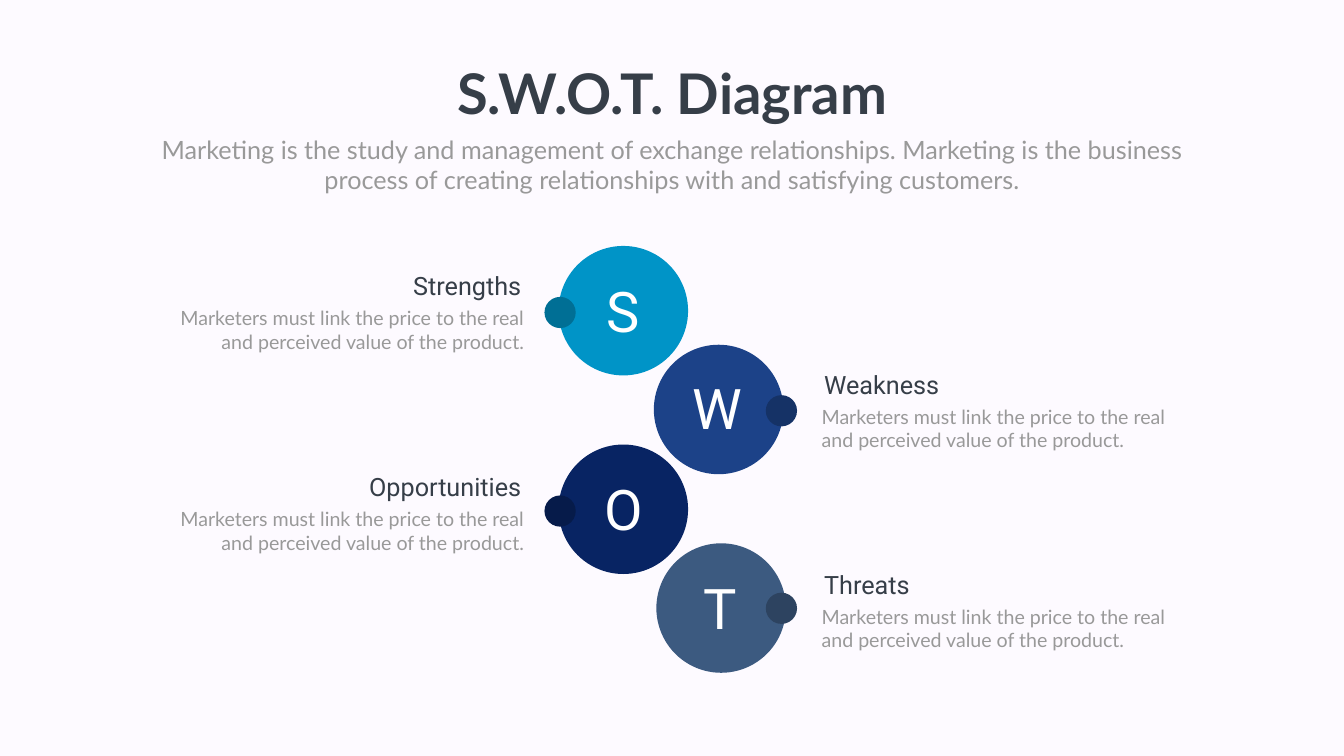
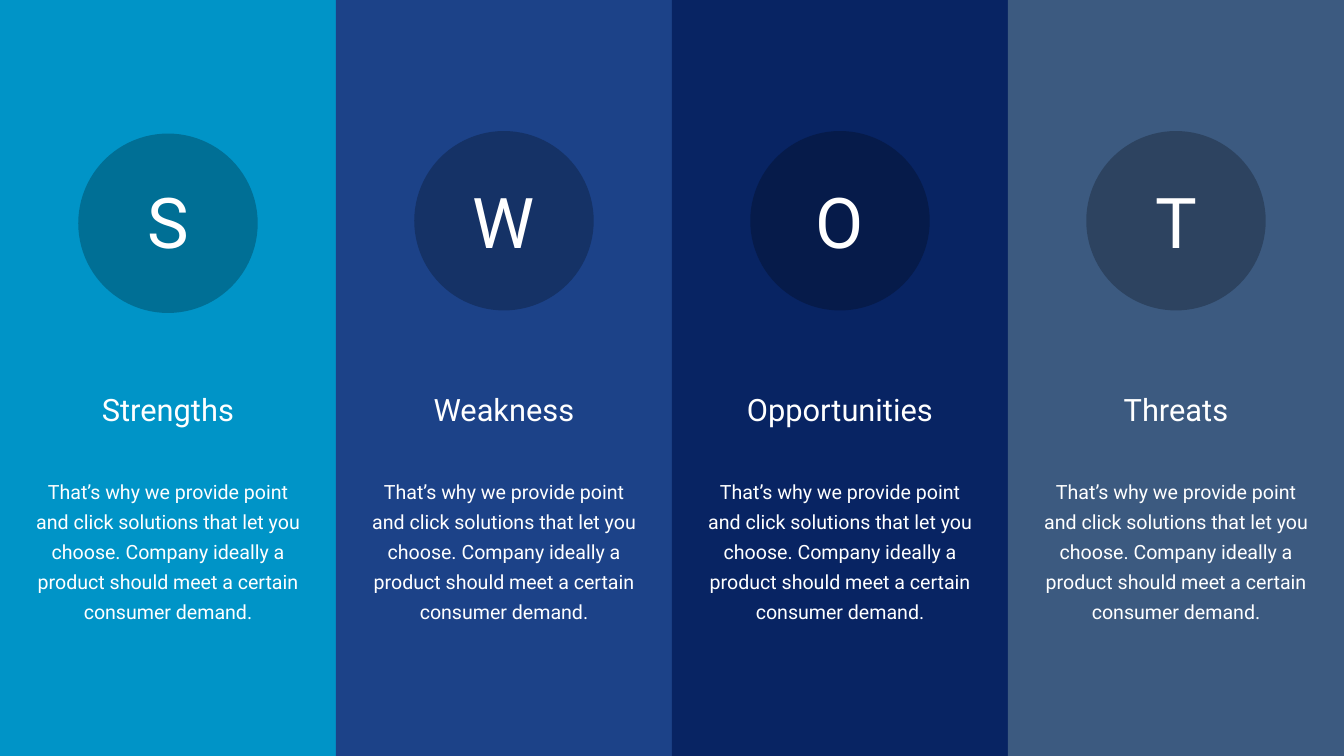
from collections import namedtuple

from pptx import Presentation
from pptx import util as u
from pptx.dml import color
from pptx.enum import shapes, text

SLIDE_WIDTH, SLIDE_HEIGHT = 1919.52, 1080
COLORS = {
    "background": "FDFAFF",
    "heading": "363E48",
    "body": "999999",
    "white": "FFFFFF",
    "strengths": "0094C7",
    "strengths_dark": "006F95",
    "weakness": "1C4288",
    "weakness_dark": "153266",
    "opportunities": "082463",
    "opportunities_dark": "061B4A",
    "threats": "3C5A80",
    "threats_dark": "2D4360",
}
HEADING_FONT, BODY_FONT = "Roboto", "Lato"
LEFT, CENTER, RIGHT = text.PP_ALIGN.LEFT, text.PP_ALIGN.CENTER, text.PP_ALIGN.RIGHT
OVAL, RECTANGLE = shapes.MSO_SHAPE.OVAL, shapes.MSO_SHAPE.RECTANGLE

Topic = namedtuple("Topic", "name circle dot_top letter heading_top badge_top")
TOPICS = [
    Topic("Strengths", (797.76, 351.36), 424.08, (830.16, 391.68), 383.04, 190.8),
    Topic("Weakness", (933.84, 492.48), 564.48, (964.08, 529.92), 523.44, 187.2),
    Topic("Opportunities", (797.76, 635.04), 707.76, (830.16, 673.92), 669.6, 187.2),
    Topic("Threats", (937.44, 776.16), 846.72, (968.4, 815.76), 809.28, 187.2),
]
DIAGRAM_TITLE = "S.W.O.T. Diagram"
DIAGRAM_SUBTITLE = (
    "Marketing is the study and management of exchange relationships. "
    "Marketing is the business process of creating relationships with "
    "and satisfying customers."
)
DIAGRAM_BODY = (
    "Marketers must link the price to the real and perceived value of the product."
)
COLUMN_BODY = (
    "That’s why we provide point and click solutions that let you choose. "
    "Company ideally a product should meet a certain consumer demand."
)


def rgb(name):
    return color.RGBColor.from_string(COLORS[name])


def place(shape, left, top, width, height):
    shape.left, shape.top = u.Pt(left), u.Pt(top)
    shape.width, shape.height = u.Pt(width), u.Pt(height)


def write(shape, content, *, size, font=HEADING_FONT, fill="white", align=CENTER,
          bold=False, wrap=True, line_spacing=None):
    frame = shape.text_frame
    frame.text = content
    frame.word_wrap = wrap
    frame.auto_size = text.MSO_AUTO_SIZE.NONE
    frame.vertical_anchor = text.MSO_ANCHOR.TOP
    paragraph = frame.paragraphs[0]
    paragraph.alignment = align
    paragraph.space_before = u.Pt(0)
    if line_spacing:
        paragraph.line_spacing = u.Pt(line_spacing)
    paragraph.font.name = font
    paragraph.font.size = u.Pt(size)
    paragraph.font.bold = bold
    paragraph.font.color.rgb = rgb(fill)


def add_text(slide, box, content, **style):
    shape = slide.shapes.add_textbox(*map(u.Pt, box))
    write(shape, content, **style)


def add_filled(slide, kind, box, fill):
    shape = slide.shapes.add_shape(kind, *map(u.Pt, box))
    shape.shadow.inherit = False
    shape.fill.solid()
    shape.fill.fore_color.rgb = rgb(fill)
    shape.line.fill.background()


def add_diagram_topic(slide, topic, on_left):
    key = topic.name.lower()
    dot_left, heading_left, body_left, align = (
        (777.6, 494.64, 244.08, RIGHT) if on_left else (1093.68, 1170, 1166.4, LEFT)
    )
    add_filled(slide, OVAL, (*topic.circle, 185, 185), key)
    add_filled(slide, OVAL, (dot_left, topic.dot_top, 44.64, 44.64), f"{key}_dark")
    add_text(slide, (*topic.letter, 120.24, 104.4), topic.name[0], size=80)
    add_text(slide, (body_left, topic.heading_top + 51, 511.2, 74.88), DIAGRAM_BODY,
             size=28, font=BODY_FONT, fill="body", align=align)
    add_text(slide, (heading_left, topic.heading_top, 257, 51), topic.name,
             size=36, fill="heading", align=align)


def add_column(slide, topic, left, width):
    def centered(top, box_width, height):
        return left + (width - box_width) / 2, top, box_width, height

    key = topic.name.lower()
    add_filled(slide, RECTANGLE, (left, 0, width, SLIDE_HEIGHT), key)
    add_text(slide, centered(672.48, 401, 220.32), COLUMN_BODY, size=28, line_spacing=43)
    add_text(slide, centered(554.4, 317.52, 60.48), topic.name, size=44)
    add_filled(slide, OVAL, centered(topic.badge_top, 256.32, 256.32), f"{key}_dark")
    add_text(slide, centered(251.28, 120.24, 128.16), topic.name[0], size=100)


def build_diagram(presentation):
    slide = presentation.slides.add_slide(presentation.slide_layouts[0])
    title, subtitle = slide.shapes.title, slide.placeholders[1]
    place(title, 633.6, 80.64, 653.04, 104.4)
    write(title, DIAGRAM_TITLE, size=80, font=BODY_FONT, fill="heading",
          bold=True, wrap=False)
    place(subtitle, 210.24, 187.92, 1499.04, 94.32)
    write(subtitle, DIAGRAM_SUBTITLE, size=36, font=BODY_FONT, fill="body")
    for index, topic in enumerate(TOPICS):
        add_diagram_topic(slide, topic, on_left=index % 2 == 0)


def build_columns(presentation):
    slide = presentation.slides.add_slide(presentation.slide_layouts[6])
    width = SLIDE_WIDTH / len(TOPICS)
    for index, topic in enumerate(TOPICS):
        add_column(slide, topic, index * width, width)


def main():
    presentation = Presentation()
    presentation.slide_width = u.Pt(SLIDE_WIDTH)
    presentation.slide_height = u.Pt(SLIDE_HEIGHT)
    background = presentation.slide_master.background.fill
    background.solid()
    background.fore_color.rgb = rgb("background")
    build_diagram(presentation)
    build_columns(presentation)
    presentation.save("out.pptx")


if __name__ == "__main__":
    main()
